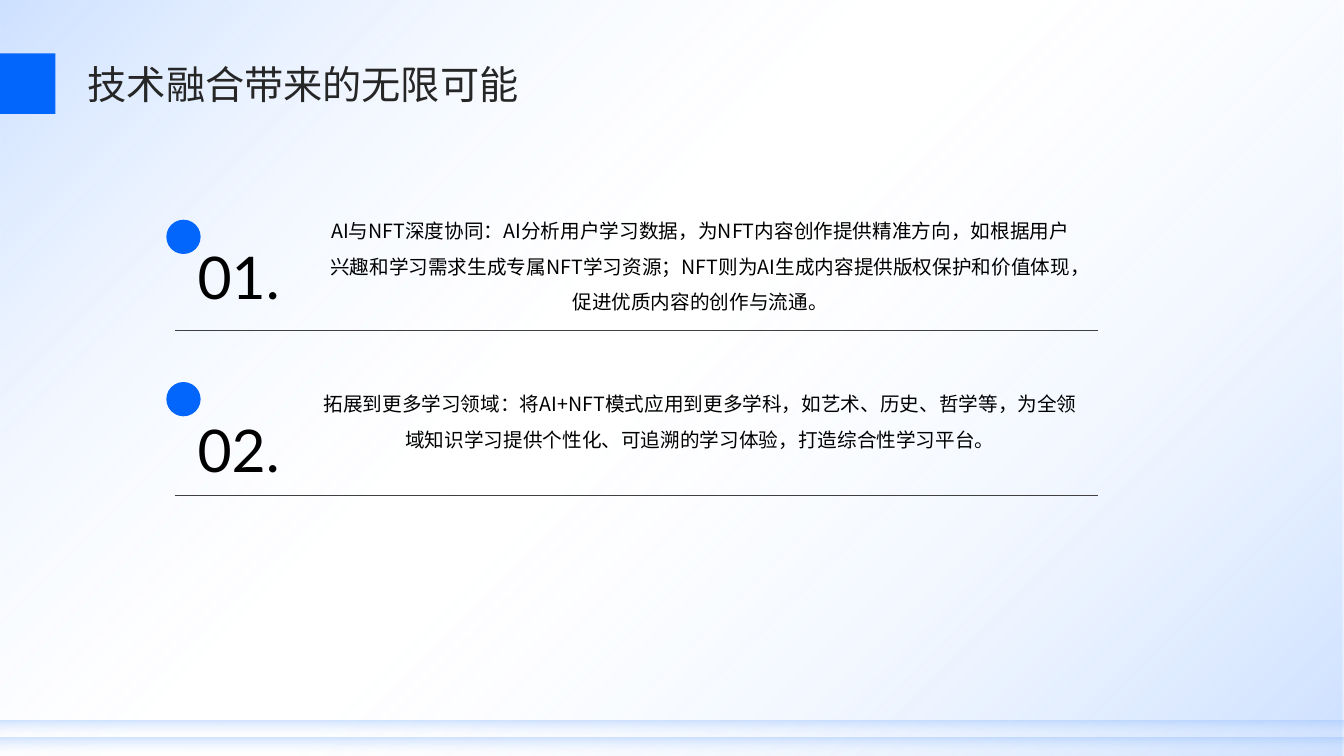
from lxml.etree import SubElement
from pptx import Presentation
from pptx.dml.color import RGBColor
from pptx.enum.shapes import MSO_CONNECTOR, MSO_SHAPE
from pptx.enum.text import MSO_ANCHOR, PP_ALIGN
from pptx.oxml.ns import qn
from pptx.util import Inches, Pt

COLORS = {"accent": "0265FC", "sky": "CCE0FF", "band": "99C1FE", "white": "FFFFFF",
          "rule": "404040", "title": "262626", "body": "000000"}
CHINESE, LATIN = "Noto Sans CJK SC", "Lato"


class SlideBuilder:
    """Holds the colours and the current page, and draws each kind of element."""

    def __init__(self, page, colors):
        self.page = page
        self.colors = colors

    def color(self, name):
        return RGBColor.from_string(self.colors[name])

    def shape(self, kind, left, top, width, height, fill="accent"):
        shape = self.page.shapes.add_shape(
            kind, Inches(left), Inches(top), Inches(width), Inches(height))
        shape.shadow.inherit = False
        shape.line.fill.background()
        shape.fill.solid()
        shape.fill.fore_color.rgb = self.color(fill)
        return shape

    def gradient(self, left, top, width, height, stops, angle):
        shape = self.shape(MSO_SHAPE.RECTANGLE, left, top, width, height)
        shape.fill.gradient()
        shape.fill.gradient_angle = 360 - angle
        stop_list = shape._element.spPr.find(qn("a:gradFill")).find(qn("a:gsLst"))
        for stop in list(stop_list):
            stop_list.remove(stop)
        for position, name, opacity in stops:
            stop = SubElement(stop_list, qn("a:gs"), pos=str(position * 1000))
            color = SubElement(stop, qn("a:srgbClr"), val=self.colors[name])
            if opacity < 100:
                SubElement(color, qn("a:alpha"), val=str(opacity * 1000))

    def rule(self, left, right, top):
        line = self.page.shapes.add_connector(
            MSO_CONNECTOR.STRAIGHT, Inches(left), Inches(top), Inches(right), Inches(top))
        line.line.color.rgb = self.color("rule")
        line.line.width = Pt(0.5)
        SubElement(line._element.spPr, qn("a:effectLst"))

    def text(self, words, left, top, width, height, size, font=CHINESE, color="body",
             align=PP_ALIGN.LEFT, spacing=1.5, inset=(0.07, 0.04)):
        box = self.page.shapes.add_textbox(
            Inches(left), Inches(top), Inches(width), Inches(height))
        side, end = (Inches(value) for value in inset)
        frame_format = {"word_wrap": True, "vertical_anchor": MSO_ANCHOR.MIDDLE,
                        "margin_left": side, "margin_right": side,
                        "margin_top": end, "margin_bottom": end}
        for name, value in frame_format.items():
            setattr(box.text_frame, name, value)
        para = box.text_frame.paragraphs[0]
        for name, value in {"alignment": align, "line_spacing": spacing}.items():
            setattr(para, name, value)
        span = para.add_run()
        span.text = words
        for name, value in {"name": font, "size": Pt(size)}.items():
            setattr(span.font, name, value)
        span.font.color.rgb = self.color(color)
        SubElement(span._r.get_or_add_rPr(), qn("a:ea"), typeface=font)


def main():
    deck = Presentation()
    deck.slide_width, deck.slide_height = Inches(13.33), Inches(7.5)
    builder = SlideBuilder(deck.slides.add_slide(deck.slide_layouts[6]), COLORS)

    builder.gradient(0, 0, 13.33, 7.5,
                     [(0, "sky", 100), (45, "white", 0), (100, "sky", 100)], 45)
    for band_top in (7.15, 7.32):
        builder.gradient(-0.02, band_top, 13.35, 0.18,
                         [(0, "band", 45), (100, "white", 0)], 90)

    points = [
        ("01.", 2.18, 2.24, 2.03, 3.28,
         "AI与NFT深度协同：AI分析用户学习数据，为NFT内容创作提供精准方向，"
         "如根据用户兴趣和学习需求生成专属NFT学习资源；"
         "NFT则为AI生成内容提供版权保护和价值体现，促进优质内容的创作与流通。"),
        ("02.", 3.79, 3.96, 3.57, 4.91,
         "拓展到更多学习领域：将AI+NFT模式应用到更多学科，如艺术、历史、哲学等，"
         "为全领域知识学习提供个性化、可追溯的学习体验，打造综合性学习平台。"),
    ]
    for number, dot_top, number_top, body_top, rule_top, body in points:
        builder.shape(MSO_SHAPE.OVAL, 1.65, dot_top, 0.34, 0.34)
        builder.rule(1.74, 10.89, rule_top)
        builder.text(body, 3.12, body_top, 7.65, 1.11, 14, align=PP_ALIGN.CENTER)
        builder.text(number, 1.89, number_top, 1.23, 0.64, 42, font=LATIN)

    builder.text("技术融合带来的无限可能", 0.87, 0.55, 11.88, 0.51, 28,
                 color="title", spacing=1.1, inset=(0, 0))
    builder.shape(MSO_SHAPE.RECTANGLE, 0, 0.53, 0.55, 0.6)
    deck.save("out.pptx")


if __name__ == "__main__":
    main()
